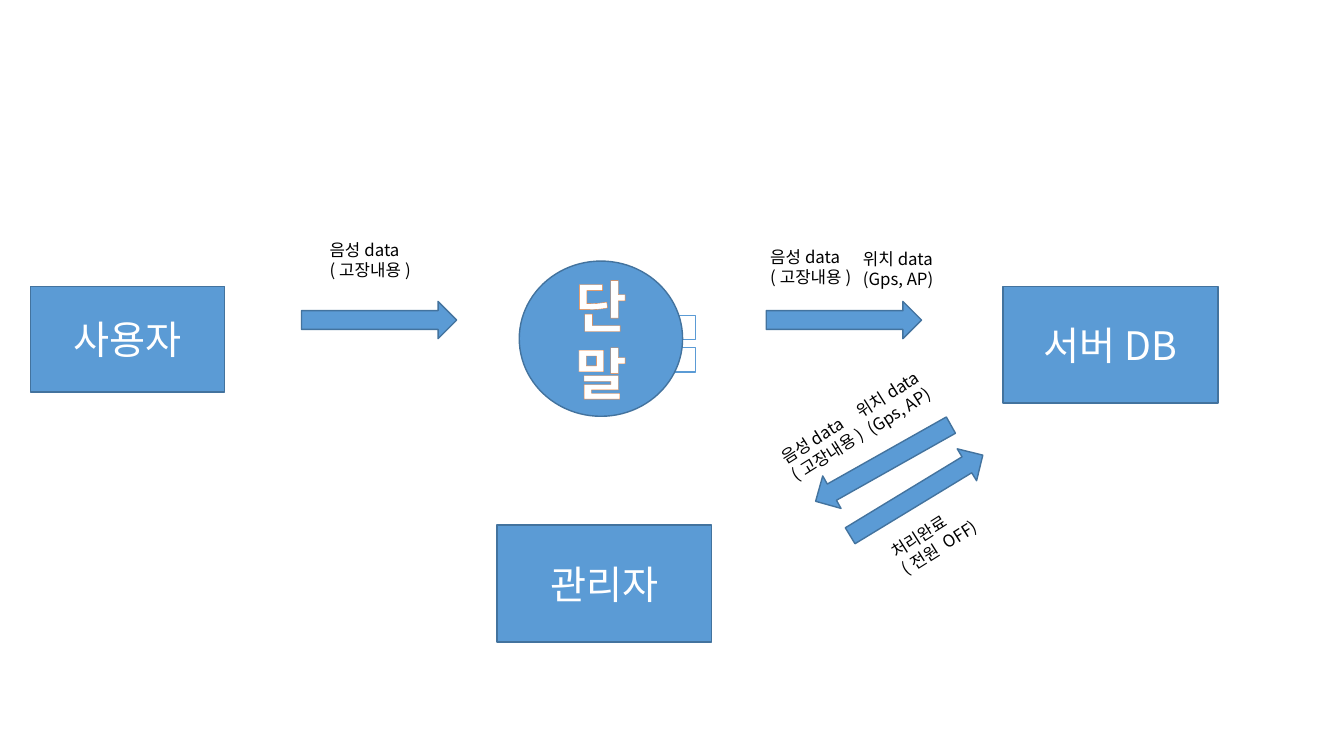
from lxml.etree import SubElement
from pptx import Presentation
from pptx.dml.color import RGBColor
from pptx.enum.shapes import MSO_SHAPE
from pptx.enum.text import MSO_ANCHOR, MSO_AUTO_SIZE, PP_ALIGN
from pptx.oxml import parse_xml
from pptx.oxml.ns import nsdecls, qn
from pptx.util import Pt

PX = 9144
FONT = "Noto Sans CJK KR"
WHITE = RGBColor(0xFF, 0xFF, 0xFF)
BLACK = RGBColor(0x00, 0x00, 0x00)
BLUE = RGBColor(0x5B, 0x9B, 0xD5)
DARK_BLUE = RGBColor(0x43, 0x73, 0x9E)
ORANGE = RGBColor(0xED, 0x7D, 0x31)


def add_block(parent, kind, box, fill=BLUE, line=DARK_BLUE, rotation=0):
    block = parent.add_shape(kind, *[n * PX for n in box])
    block.shadow.inherit = False
    block.fill.solid()
    block.fill.fore_color.rgb = fill
    block.line.color.rgb = line
    block.line.width = Pt(1)
    block.rotation = rotation
    return block


def write(frame, text, align, font_format):
    frame.text = text
    frame.word_wrap = True
    for paragraph in frame.paragraphs:
        paragraph.alignment = align
        for run in paragraph.runs:
            run.font.color.rgb = font_format["color"]
            for key in ("name", "size", "bold"):
                setattr(run.font, key, font_format[key])
            SubElement(run.font._element, qn("a:ea")).set("typeface", FONT)


prs = Presentation()
prs.slide_width = 1333 * PX
prs.slide_height = 750 * PX
slide = prs.slides.add_slide(prs.slide_layouts[6])
shapes = slide.shapes

device_format = {"name": FONT, "size": Pt(40), "bold": True, "color": WHITE}
role_format = {"name": FONT, "size": Pt(28), "bold": False, "color": WHITE}
label_format = {"name": FONT, "size": Pt(12), "bold": False, "color": BLACK}

device = shapes.add_group_shape().shapes
for prong_top in (345, 313):
    add_block(device, MSO_SHAPE.RECTANGLE, (655, prong_top, 35, 24), WHITE, BLUE)
device_body = add_block(device, MSO_SHAPE.OVAL, (515, 259, 162, 154))
device_body.text_frame.vertical_anchor = MSO_ANCHOR.MIDDLE
write(device_body.text_frame, "단말", PP_ALIGN.CENTER, device_format)
device_run = device_body.text_frame.paragraphs[0].runs[0]
device_run.font._element.insert(0, parse_xml(
    f'<a:ln {nsdecls("a")} w="6600"><a:solidFill>'
    f'<a:srgbClr val="{ORANGE}"/></a:solidFill></a:ln>'))

for role, box in (
    ("사용자", (30, 284, 193, 105)),
    ("서버DB", (995, 284, 213, 116)),
    ("관리자", (493, 521, 213, 116)),
):
    role_box = add_block(shapes, MSO_SHAPE.RECTANGLE, box)
    role_box.text_frame.vertical_anchor = MSO_ANCHOR.MIDDLE
    write(role_box.text_frame, role, PP_ALIGN.CENTER, role_format)

for left, top, rotation in (
    (299, 299, 0),
    (760, 299, 0),
    (799, 441, 150.6),
    (832, 473, 328.7),
):
    add_block(shapes, MSO_SHAPE.RIGHT_ARROW, (left, top, 154, 37), rotation=rotation)

VOICE = "음성data\n(고장내용)"
LOCATION = "위치data\v(Gps, AP)"
DONE = "처리완료\n(전원 OFF)"
for text, left, top, rotation in (
    (VOICE, 754, 240, 0),
    (LOCATION, 846, 242, 0),
    (VOICE, 317, 233, 0),
    (VOICE, 763, 409, 327.6),
    (LOCATION, 838, 363, 327.6),
    (DONE, 872, 502, 327.6),
):
    label = shapes.add_textbox(left * PX, top * PX, 132 * PX, 50 * PX)
    label.rotation = rotation
    write(label.text_frame, text, PP_ALIGN.LEFT, label_format)
    label.text_frame.auto_size = MSO_AUTO_SIZE.SHAPE_TO_FIT_TEXT

prs.save("out.pptx")
